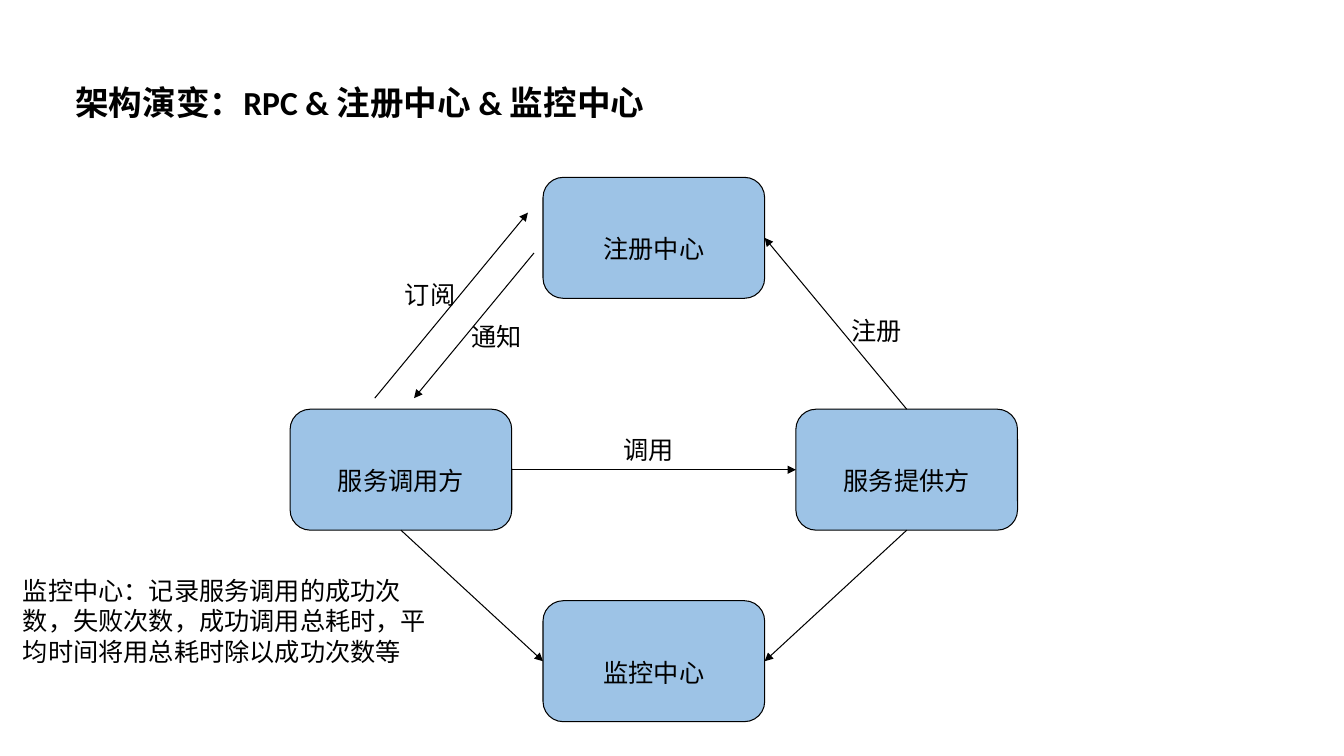
from lxml.etree import SubElement
from pptx import Presentation
from pptx.dml.color import RGBColor
from pptx.enum.shapes import MSO_CONNECTOR as CONN, MSO_SHAPE as SHAPE
from pptx.enum.text import MSO_ANCHOR as ANCHOR, MSO_AUTO_SIZE as AUTO, PP_ALIGN as ALIGN
from pptx.oxml.ns import qn
from pptx.util import Inches, Pt

BLACK = RGBColor(0x00, 0x00, 0x00)
BLUE = RGBColor(0x9D, 0xC3, 0xE6)
BOX_W, BOX_H = 2.2, 1.2
TOP, LEFT, BOTTOM, RIGHT = range(4)


def write(tf, text, size=18, bold=False, align=ALIGN.LEFT, spacing=None):
    p = tf.paragraphs[0]
    p.alignment = align
    p._p.get_or_add_pPr().set("hangingPunct", "0")
    if spacing:
        p.line_spacing = spacing
    r = p.add_run()
    r.text = text
    r.font.name = "Calibri"
    r.font.size = Pt(size)
    r.font.bold = bold
    r.font.color.rgb = BLACK


def add_box(s, text, x, y):
    sp = s.shapes.add_shape(SHAPE.ROUNDED_RECTANGLE, Inches(x), Inches(y),
                            Inches(BOX_W), Inches(BOX_H))
    sp.shadow.inherit = False
    sp.fill.solid()
    sp.fill.fore_color.rgb = BLUE
    sp.line.color.rgb = BLACK
    sp.line.width = Pt(0.75)
    sp.text_frame.vertical_anchor = ANCHOR.TOP
    write(sp.text_frame, text, align=ALIGN.CENTER, spacing=2.5)
    return sp


def add_text(s, text, x, y, w, h, wrap=True, **fmt):
    tf = s.shapes.add_textbox(Inches(x), Inches(y), Inches(w), Inches(h)).text_frame
    tf.word_wrap = wrap
    tf.auto_size = AUTO.SHAPE_TO_FIT_TEXT
    write(tf, text, **fmt)


def add_arrow(s, x1=0, y1=0, x2=0, y2=0):
    c = s.shapes.add_connector(CONN.STRAIGHT, Inches(x1), Inches(y1), Inches(x2), Inches(y2))
    c.line.color.rgb = BLACK
    c.line.width = Pt(0.75)
    SubElement(c.line._get_or_add_ln(), qn("a:tailEnd"), type="triangle")
    SubElement(c._element.spPr, qn("a:effectLst"))
    return c


def join(s, start, start_side, end, end_side):
    c = add_arrow(s)
    c.begin_connect(start, start_side)
    c.end_connect(end, end_side)


def main():
    prs = Presentation()
    prs.slide_width, prs.slide_height = Inches(13.34), Inches(7.5)
    s = prs.slides.add_slide(prs.slide_layouts[6])

    add_text(s, "架构演变：RPC & 注册中心 & 监控中心", 0.65, 0.76, 11.51, 0.5, size=24, bold=True)

    caller = add_box(s, "服务调用方", 2.88, 4.06)
    provider = add_box(s, "服务提供方", 7.9, 4.06)
    registry = add_box(s, "注册中心", 5.39, 1.76)
    monitor = add_box(s, "监控中心", 5.39, 5.96)

    join(s, caller, RIGHT, provider, LEFT)
    join(s, provider, TOP, registry, RIGHT)
    join(s, caller, BOTTOM, monitor, LEFT)
    join(s, provider, BOTTOM, monitor, RIGHT)
    add_arrow(s, 3.72, 3.95, 5.24, 2.11)
    add_arrow(s, 5.3, 2.51, 4.11, 3.95)

    for text, x, y in (("调用", 6.09, 4.26), ("订阅", 3.92, 2.72),
                       ("注册", 8.35, 3.08), ("通知", 4.58, 3.14)):
        add_text(s, text, x, y, 0.7, 0.4, wrap=False)

    add_text(s, "监控中心：记录服务调用的成功次数，失败次数，成功调用总耗时，平均时间将用总耗时除以成功次数等",
             0.13, 5.66, 4.27, 1)

    prs.save("out.pptx")


if __name__ == "__main__":
    main()
